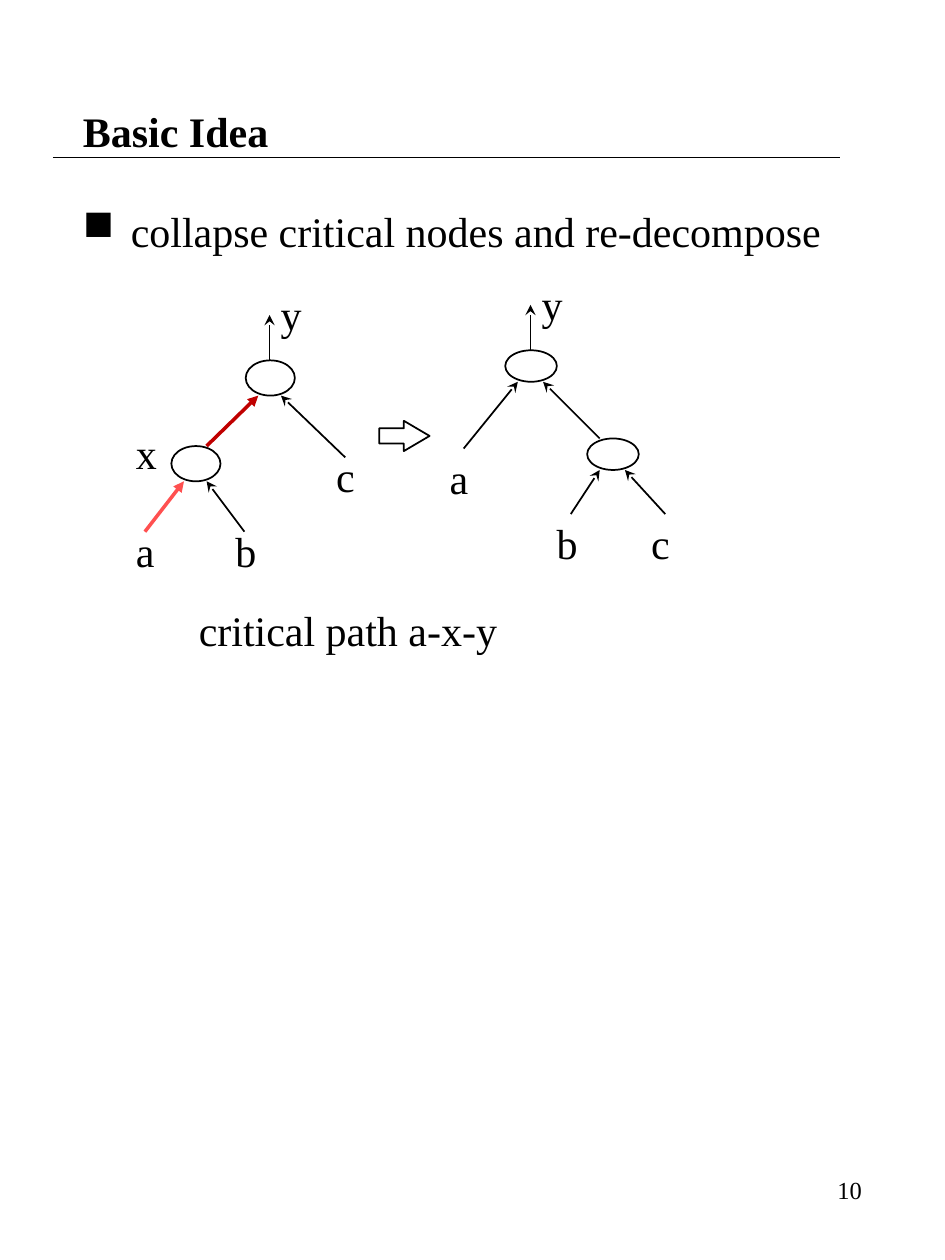
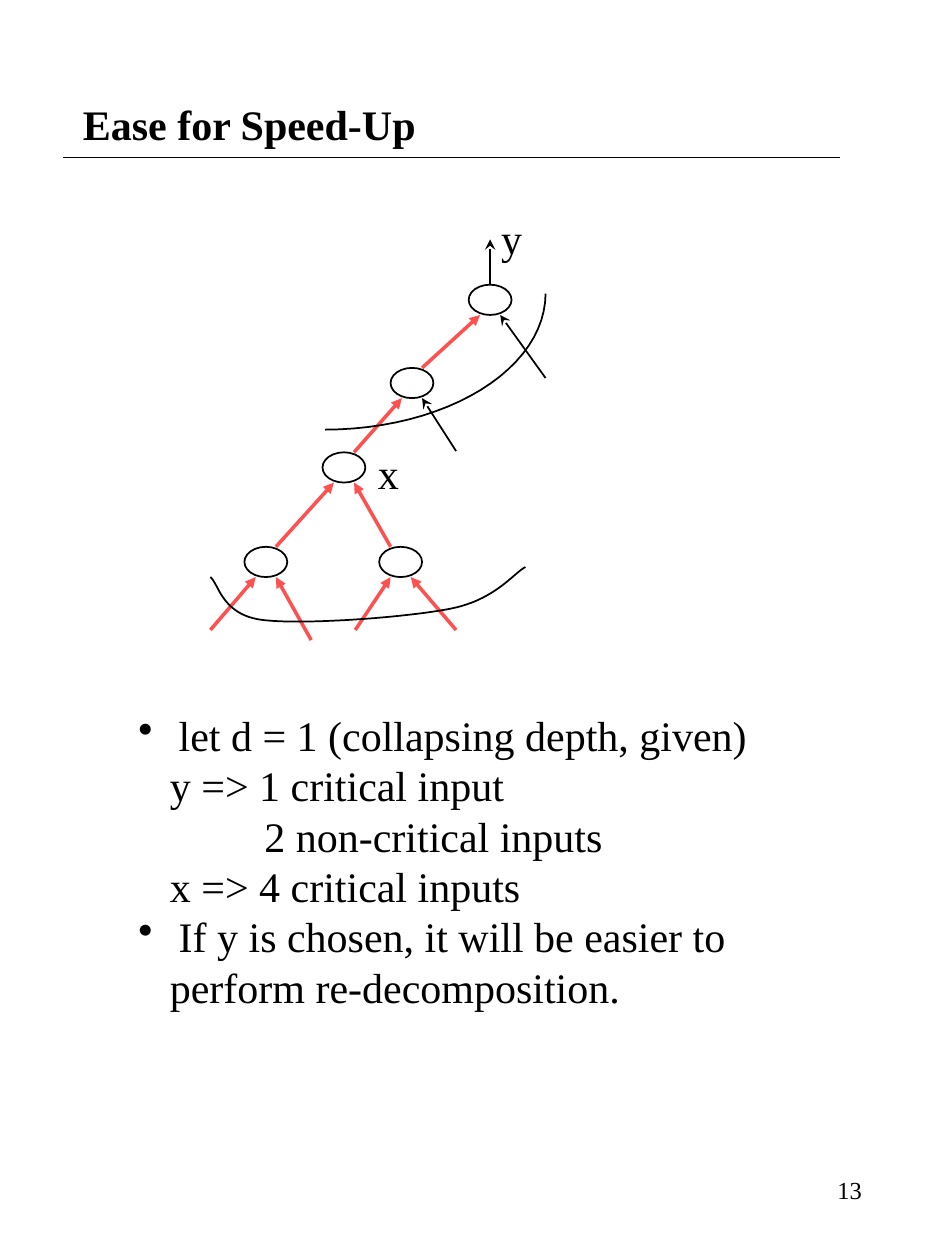
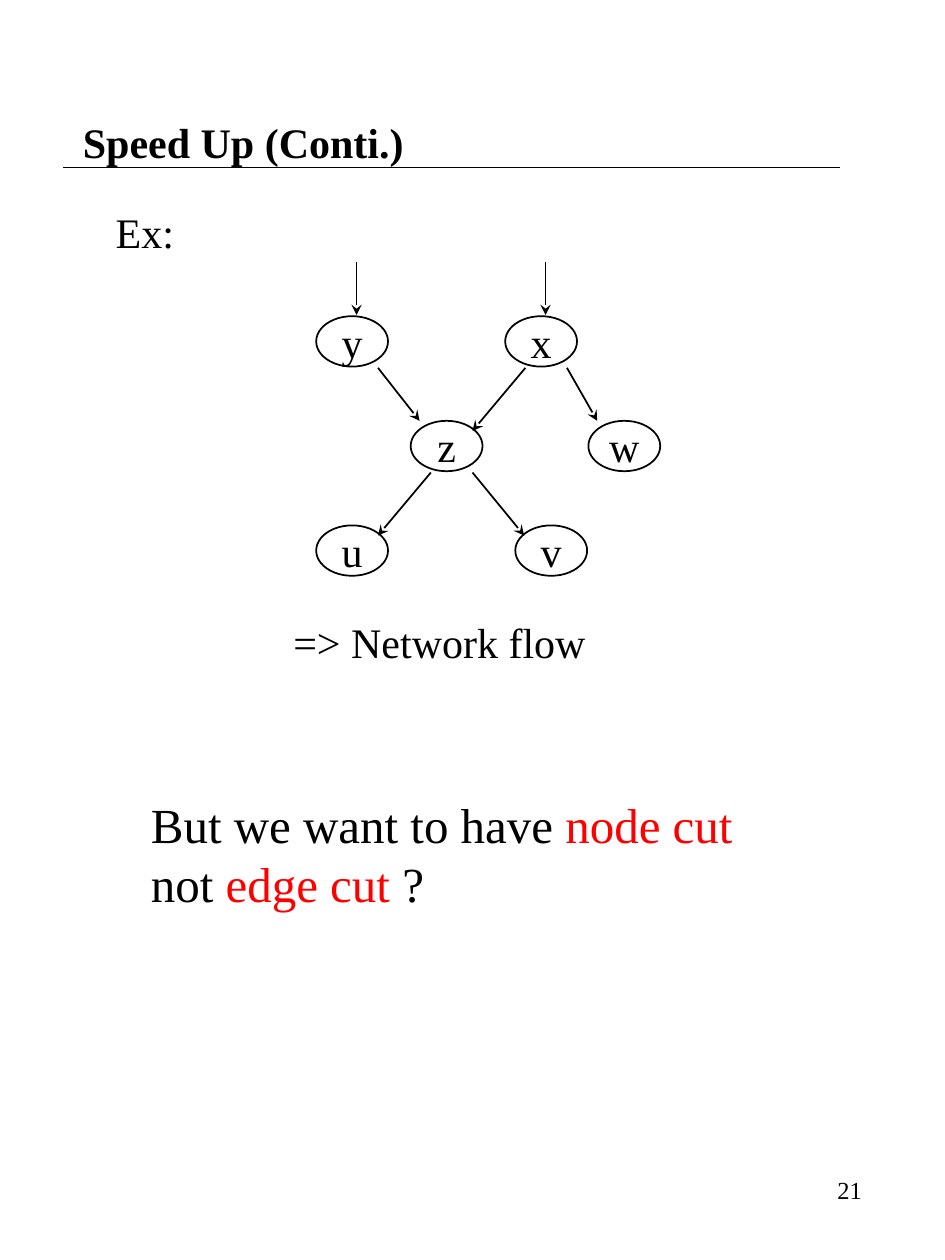
from math import cos, pi, sin

from lxml import etree
from pptx import Presentation
from pptx.dml.color import RGBColor
from pptx.enum.shapes import MSO_CONNECTOR, MSO_SHAPE
from pptx.enum.text import MSO_ANCHOR, PP_ALIGN
from pptx.oxml.ns import qn
from pptx.util import Pt

PX = 9144  # 100 px to the inch
FONT = "Times New Roman"
BLACK, WHITE, RED = "000000", "FFFFFF", "FF0000"
CRITICAL, CHOSEN = "FF5050", "C00000"
LEFT, CENTER, RIGHT = PP_ALIGN.LEFT, PP_ALIGN.CENTER, PP_ALIGN.RIGHT
TOP, MIDDLE = MSO_ANCHOR.TOP, MSO_ANCHOR.MIDDLE
OVAL, RIGHT_ARROW = MSO_SHAPE.OVAL, MSO_SHAPE.RIGHT_ARROW
STRAIGHT = MSO_CONNECTOR.STRAIGHT
rgb = RGBColor.from_string


def write(frame, lines, size=24, bold=False, align=LEFT, anchor=TOP, wrap=True):
    """Fill a frame with lines of (margin, bullet, *parts); every second part is red."""
    frame.word_wrap = wrap
    frame.vertical_anchor = anchor
    for number, (margin, bullet, *parts) in enumerate(lines):
        paragraph = frame.add_paragraph() if number else frame.paragraphs[0]
        paragraph.alignment = align
        properties = paragraph._p.get_or_add_pPr()
        properties.set("marL", str(margin * PX))
        properties.set("indent", str(-margin * PX if bullet else 0))
        if bullet:
            etree.SubElement(properties, qn("a:buChar")).set("char", bullet)
        paragraph.font.name = FONT
        paragraph.font.size = Pt(size)
        paragraph.font.bold = bold
        paragraph.font.color.rgb = rgb(BLACK)
        for index, part in enumerate(parts):
            run = paragraph.add_run()
            run.text = part
            if index % 2:
                run.font.color.rgb = rgb(RED)


def outline(shape, filled=True):
    """Give a shape a thin black line and, if filled, half-transparent white."""
    shape.shadow.inherit = False
    shape.line.color.rgb = rgb(BLACK)
    shape.line.width = Pt(1)
    if filled:
        shape.fill.solid()
        shape.fill.fore_color.rgb = rgb(WHITE)
        white = shape._element.spPr.find(qn("a:solidFill"))[0]
        etree.SubElement(white, qn("a:alpha")).set("val", "50000")
    else:
        shape.fill.background()


deck = Presentation()
deck.slide_width, deck.slide_height = 750 * PX, 1000 * PX
idea, ease, flow = [deck.slides.add_slide(deck.slide_layouts[6]).shapes for _ in range(3)]

# Titles, rules and page numbers; lines are drawn together further down.
lines = []
for shapes, title, top, height, rule_left, rule_y, number in (
    (idea, "Basic Idea", 50, 108, 42, 125, "10"),
    (ease, "Ease for Speed-Up", 39, 119, 50, 125, "13"),
    (flow, "Speed Up (Conti.)", 50, 125, 50, 133, "21"),
):
    heading = shapes.add_textbox(56 * PX, top * PX, 637 * PX, height * PX)
    write(heading.text_frame, [(0, "", title)], bold=True, anchor=MIDDLE)
    page_number = shapes.add_textbox(538 * PX, 911 * PX, 156 * PX, 67 * PX)
    write(page_number.text_frame, [(0, "", number)], size=14, align=RIGHT, anchor=MIDDLE)
    lines.append((shapes, BLACK, None, (rule_left, rule_y, 667, rule_y)))

texts = [
    (idea, 56, 158, 637, 24, [(38, "■", "collapse critical nodes and re-decompose")]),
    (idea, 148, 475, 260, 24, [(0, "", "critical path a-x-y")]),
    (idea, 98, 334, 40, 24, [(0, "", "x")]),
    (ease, 290, 350, 40, 24, [(0, "", "x")]),
    (ease, 100, 558, 567, 24, [
        (32, "•", "let d = 1 (collapsing depth, given)"),
        (25, "", "y => 1 critical input"),
        (100, "", "2 non-critical inputs"),
        (25, "", "x => 4 critical inputs"),
        (32, "•", "If y is chosen, it will be easier to"),
        (25, "", "perform re-decomposition."),
    ]),
    (flow, 82, 159, 70, 24, [(0, "", "Ex:")]),
    (flow, 223, 484, 260, 24, [(0, "", "=> Network flow")]),
    (flow, 110, 626, 500, 28, [(0, "", "But we want to have ", "node cut"),
                               (0, "", "not ", "edge cut ", "?")]),
]

# A tree has gates (centre, top), root first. Each gate takes a left and a right
# input (colour, source): another gate, or the point where an outer input starts.
trees = [
    (idea, 39, 28, (-17, -10),
     {"y": (214, 286), "x": (155, 354)},
     {"y": [(CHOSEN, "x"), (BLACK, (274, 363, "c"))],
      "x": [(CRITICAL, (115, 422, "a")), (BLACK, (194, 422, "b"))]}),
    (idea, 41, 25, (-21, -2),
     {"y": (421, 278), "x": (486, 348)},
     {"y": [(BLACK, (368, 356, "a")), (BLACK, "x")],
      "x": [(BLACK, (453, 408, "b")), (BLACK, (528, 408, "c"))]}),
    (ease, 34, 24, (0, 0),
     {"y": (389, 226), "mid": (327, 292), "x": (273, 359),
      "left": (211, 434), "right": (318, 434)},
     {"y": [(CRITICAL, "mid"), (BLACK, (433, 300, ""))],
      "mid": [(CRITICAL, "x"), (BLACK, (362, 358, ""))],
      "x": [(CRITICAL, "left"), (CRITICAL, "right")],
      "left": [(CRITICAL, (167, 500, "")), (CRITICAL, (247, 508, ""))],
      "right": [(CRITICAL, (282, 500, "")), (CRITICAL, (362, 500, ""))]}),
]
nodes = []
for shapes, width, height, (label_dx, label_dy), gates, inputs in trees:
    nudge = width // 4
    nodes += [(shapes, x, y, width, height, "") for x, y in gates.values()]
    root_x, root_y = gates["y"]
    lines.append((shapes, BLACK, "stealth", (root_x, root_y, root_x, root_y - 36)))
    texts.append((shapes, root_x - 1, root_y - 62, 40, 24, [(0, "", "y")]))
    for gate, sources in inputs.items():
        x, y = gates[gate]
        for side, (color, source) in zip((-1, 1), sources):
            if source in gates:
                start_x, start_y = gates[source]
                start_x -= side * nudge
            else:
                start_x, start_y, label = source
                if label:
                    texts.append((shapes, start_x + label_dx, start_y + label_dy, 40, 24,
                                  [(0, "", label)]))
            head = "stealth" if color == BLACK else "triangle"
            lines.append((shapes, color, head, (start_x, start_y, x + side * nudge, y + height)))

# The flow network: nodes as (centre, row), edges with the depth they reach into a node.
network = {"y": (279, 0), "x": (429, 0), "z": (354, 1), "w": (495, 1),
           "u": (279, 2), "v": (437, 2)}
network = {name: (x, 251 + 83 * row) for name, (x, row) in network.items()}
nodes += [(flow, x, y, 57, 40, name) for name, (x, y) in network.items()]
for name in "yx":
    x, y = network[name]
    lines.append((flow, BLACK, "stealth", (x + 4, y - 43, x + 4, y - 1)))
for source, target, depth in (("y", "z", 0), ("x", "z", 8), ("x", "w", 0),
                              ("z", "u", 8), ("z", "v", 8)):
    (start_x, start_y), (end_x, end_y) = network[source], network[target]
    rightward = end_x > start_x
    start_x += 21 if rightward else -12
    end_x += -21 if rightward else 21
    lines.append((flow, BLACK, "stealth", (start_x, start_y + 41, end_x, end_y + depth)))

for shapes, x, y, width, height, label in nodes:
    node = shapes.add_shape(OVAL, (x - width // 2) * PX, y * PX, width * PX, height * PX)
    outline(node)
    if label:
        write(node.text_frame, [(0, "", label)], align=CENTER, anchor=MIDDLE, wrap=False)

for shapes, color, head, ends in lines:
    connector = shapes.add_connector(STRAIGHT, *(v * PX for v in ends))
    connector.line.color.rgb = rgb(color)
    connector.line.width = Pt(1 if color == BLACK else 2)
    properties = connector._element.spPr
    if head:
        etree.SubElement(properties.find(qn("a:ln")), qn("a:tailEnd")).set("type", head)
    etree.SubElement(properties, qn("a:effectLst"))

for shapes, x, y, width, size, text_lines in texts:
    height = 10 + len(text_lines) * size * 5 // 3
    text = shapes.add_textbox(x * PX, y * PX, width * PX, height * PX)
    write(text.text_frame, text_lines, size=size)

block_arrow = idea.add_shape(RIGHT_ARROW, 301 * PX, 334 * PX, 40 * PX, 24 * PX)
block_arrow.adjustments[1] = 0.85
outline(block_arrow)

# The upper cut is a quarter ellipse; the lower one a smooth curve through four points.
STEPS = 24
angles = [pi / 2 * step / STEPS for step in range(STEPS + 1)]
upper_cut = [(258 + 175 * cos(angle), 233 + 108 * sin(angle)) for angle in angles]
knots = [(167, 458), (208, 492), (358, 483), (417, 450)]
padded = [knots[0], *knots, knots[-1]]
lower_cut = [knots[0]]
for before, start, end, after in zip(padded, padded[1:], padded[2:], padded[3:]):
    for step in range(1, STEPS + 1):
        t = step / STEPS
        lower_cut.append(tuple(
            b + t * (c - a + t * (2 * a - 5 * b + 4 * c - d + t * (3 * b - 3 * c + d - a))) / 2
            for a, b, c, d in zip(before, start, end, after)))
for cut in (upper_cut, lower_cut):
    (first_x, first_y), *rest = [(x * PX, y * PX) for x, y in cut]
    builder = ease.build_freeform(int(first_x), int(first_y))
    builder.add_line_segments(rest, close=False)
    outline(builder.convert_to_shape(), filled=False)

deck.save("out.pptx")
